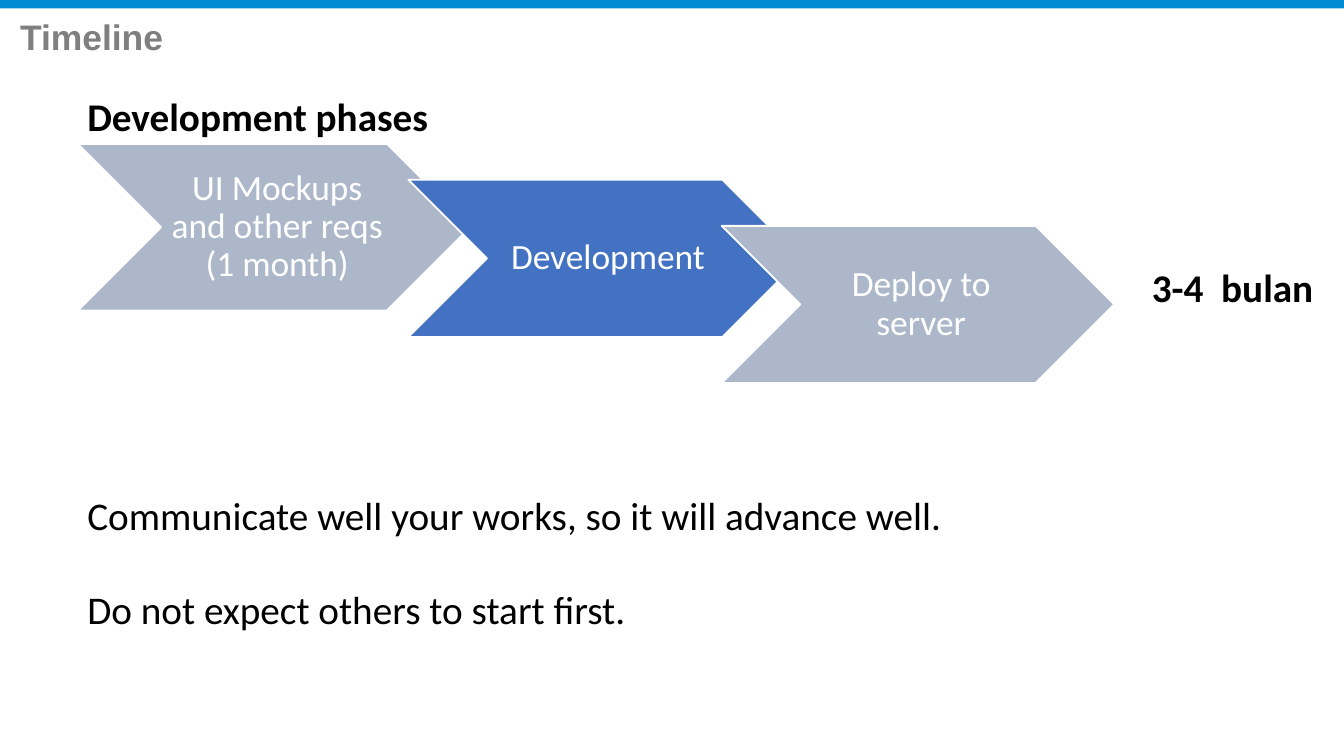
from dataclasses import dataclass

from lxml import etree
from pptx import Presentation
from pptx.dml.color import RGBColor
from pptx.enum.shapes import MSO_SHAPE
from pptx.enum.text import MSO_ANCHOR, MSO_AUTO_SIZE, PP_ALIGN
from pptx.oxml.ns import qn
from pptx.util import Cm, Pt

RECT, CHEVRON = MSO_SHAPE.RECTANGLE, MSO_SHAPE.CHEVRON
TOP, MIDDLE = MSO_ANCHOR.TOP, MSO_ANCHOR.MIDDLE
LEFT, CENTER = PP_ALIGN.LEFT, PP_ALIGN.CENTER
FIXED = MSO_AUTO_SIZE.NONE


@dataclass(frozen=True)
class Theme:
    bar: str = "008BD2"
    title: str = "7F7F7F"
    pale: str = "ACB8CA"
    blue: str = "4372C3"
    white: str = "FFFFFF"
    ink: str = "000000"
    head: str = "Arial"
    text: str = "Calibri"
    small: int = 19
    large: int = 21


THEME = Theme()
EDGE = 1.47
PAD = (0.18, 0.1, 0.18, 0.1)
SIDES = ("left", "top", "width", "height")
PHASES = [
    ("UI Mockups and other reqs (1 month)", EDGE, 2.72, 3.15, THEME.pale),
    ("Development", 7.72, 3.4, 2.97, THEME.blue),
    ("Deploy to server", 13.64, 4.27, 2.97, THEME.pale),
]
ADVICE = [
    "Communicate well your works, so it will advance well.",
    "Do not expect others to start first.",
]


def apply(item, values):
    for name, value in values.items():
        setattr(item, name, value)


def write(shape, lines, size, color, font=THEME.text, bold=False,
          align=LEFT, anchor=TOP, pad=PAD, space=1.0, gap=0, wrap=True):
    frame = shape.text_frame
    left, top, right, bottom = map(Cm, pad)
    apply(frame, {"auto_size": FIXED, "word_wrap": wrap,
                  "vertical_anchor": anchor, "margin_left": left,
                  "margin_top": top, "margin_right": right,
                  "margin_bottom": bottom})
    frame.text = "\n".join(lines)
    for row, para in enumerate(frame.paragraphs):
        apply(para, {"alignment": align, "line_spacing": space,
                     "space_before": Pt(gap if row else 0),
                     "space_after": Pt(0)})
        for run in para.runs:
            apply(run.font, {"name": font, "size": Pt(size), "bold": bold})
            run.font.color.rgb = RGBColor.from_string(color)


def place(shape, box):
    apply(shape, dict(zip(SIDES, map(Cm, box))))


def strip(shape):
    for para in shape.text_frame.paragraphs:
        props = para._p.get_or_add_pPr()
        props.set("marL", "0")
        props.set("indent", "0")
        etree.SubElement(props, qn("a:buNone"))


def draw(slide, kind, box, fill):
    shape = slide.shapes.add_shape(kind, *map(Cm, box))
    shape.shadow.inherit = False
    shape.fill.solid()
    shape.fill.fore_color.rgb = RGBColor.from_string(fill)
    shape.line.fill.background()
    return shape


def phase(slide, text, left, top, height, fill):
    shape = draw(slide, CHEVRON, (left, top, 7.42, height), fill)
    shape.line.color.rgb = RGBColor.from_string(THEME.white)
    shape.line.width = Pt(1)
    write(shape, [text], THEME.small, THEME.white, align=CENTER,
          anchor=MIDDLE, pad=(0.2, 0.08, 0.08, 0.08), space=0.9)


def label(slide, text, box):
    shape = slide.shapes.add_textbox(*map(Cm, box))
    write(shape, [text], THEME.large, THEME.ink, bold=True, wrap=False)


def main():
    deck = Presentation()
    apply(deck, {"slide_width": Cm(25.4), "slide_height": Cm(14.29)})
    slide = deck.slides.add_slide(deck.slide_layouts[1])
    title, body = slide.placeholders

    draw(slide, RECT, (0, 0, 25.4, 0.16), THEME.bar)
    place(title, (0.2, 0.25, 22.02, 0.97))
    write(title, ["Timeline"], THEME.small, THEME.title, font=THEME.head,
          bold=True, anchor=MIDDLE, space=0.9)

    for item in PHASES:
        phase(slide, *item)
    label(slide, "Development phases", (EDGE, 1.65, 7.75, 1.09))
    label(slide, "3-4  bulan", (21.59, 4.88, 3.48, 1.09))

    place(body, (EDGE, 9.19, 18.92, 2.9))
    write(body, ADVICE, THEME.large, THEME.ink, gap=25)
    strip(body)

    deck.save("out.pptx")


if __name__ == "__main__":
    main()
